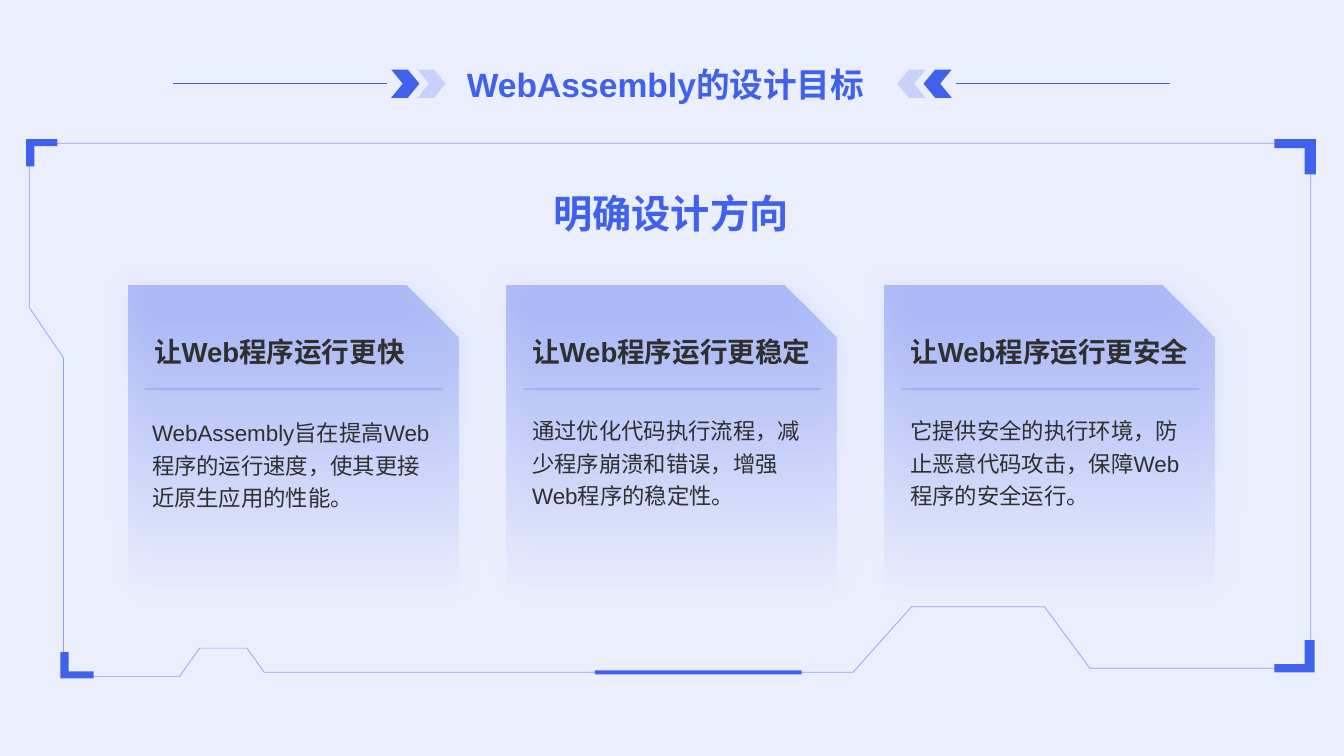
from lxml import etree
from pptx import Presentation
from pptx import util as u
from pptx.dml.color import RGBColor
from pptx.enum import lang, shapes, text
from pptx.oxml import parse_xml
from pptx.oxml.ns import nsdecls, qn

BLUE = RGBColor(0x40, 0x61, 0xEC)
PALE_BLUE = RGBColor(0x8C, 0xA0, 0xF4)
INK = RGBColor(0x2F, 0x2F, 0x2F)

TITLE = "WebAssembly的设计目标"
SUBTITLE = "明确设计方向"
CARDS = [
    ("让Web程序运行更快", "WebAssembly旨在提高Web程序的运行速度，使其更接近原生应用的性能。", 1.41, 4.06),
    ("让Web程序运行更稳定", "通过优化代码执行流程，减少程序崩溃和错误，增强Web程序的稳定性。", 5.18, 4.04),
    ("让Web程序运行更安全", "它提供安全的执行环境，防止恶意代码攻击，保障Web程序的安全运行。", 8.93, 4.04),
]
CARD_LEFT, CARD_TOP, CARD_WIDTH, CARD_HEIGHT, CARD_STEP = 1.27, 2.83, 3.28, 3.09, 3.75

CHEVRONS = [(4.14, 20, False), (3.88, 100, False), (8.9, 20, True), (9.16, 100, True)]
HEADER_LINES = [(3.84, 1.72), (9.48, 11.6)]
FRAME = [
    (0.63, 6.71), (0.63, 3.55), (0.29, 3.05), (0.29, 1.42), (13, 1.42),
    (13, 6.63), (10.81, 6.63), (10.36, 6.02), (9.04, 6.02), (8.46, 6.67),
    (2.62, 6.67), (2.45, 6.43), (1.98, 6.43), (1.78, 6.71),
]
# corner x, corner y, signed width, signed height, upright thickness, bar thickness
BRACKETS = [
    (0.26, 1.38, 0.31, 0.27, 0.08, 0.07),
    (13.05, 1.38, -0.41, 0.35, 0.11, 0.09),
    (0.6, 6.73, 0.33, -0.26, 0.08, 0.07),
    (13.04, 6.67, -0.4, -0.32, 0.1, 0.08),
]


def set_alpha(color_format_parent, percent):
    for color in color_format_parent.iter(qn("a:srgbClr")):
        etree.SubElement(color, qn("a:alpha")).set("val", str(percent * 1000))


def add_block(page, kind, left, top, width, height, alpha=100):
    block = page.shapes.add_shape(kind, *map(u.Inches, (left, top, width, height)))
    block.shadow.inherit = False
    block.line.fill.background()
    block.fill.solid()
    block.fill.fore_color.rgb = BLUE
    if alpha < 100:
        set_alpha(block.element.spPr, alpha)
    return block


def add_outline(page, points):
    spots = [(u.Inches(x), u.Inches(y)) for x, y in points]
    builder = page.shapes.build_freeform(*spots[0], scale=1.0)
    builder.add_line_segments(spots[1:], close=True)
    outline = builder.convert_to_shape()
    outline.shadow.inherit = False
    return outline


def add_rule(page, start, end, y, width, alpha=100):
    rule = page.shapes.add_connector(
        shapes.MSO_CONNECTOR.STRAIGHT, *map(u.Inches, (start, y, end, y)))
    rule.line.color.rgb = BLUE
    rule.line.width = u.Pt(width)
    if alpha < 100:
        set_alpha(rule.line._ln, alpha)
    etree.SubElement(rule.element.spPr, qn("a:effectLst"))


def add_text(page, wording, place, size, color, bold=True, centred=False, bottom=False, spacing=None):
    box = page.shapes.add_textbox(*map(u.Inches, place))
    frame = box.text_frame
    frame.word_wrap = True
    frame.vertical_anchor = text.MSO_ANCHOR.BOTTOM if bottom else text.MSO_ANCHOR.TOP
    para = frame.paragraphs[0]
    para.alignment = text.PP_ALIGN.CENTER if centred else text.PP_ALIGN.LEFT
    if spacing:
        para.line_spacing = spacing
    span = para.add_run()
    span.text = wording
    span.font.name = "Arial"
    span.font.size = u.Pt(size)
    span.font.bold = bold
    span.font.color.rgb = color
    span.font.language_id = lang.MSO_LANGUAGE_ID.SIMPLIFIED_CHINESE


def add_card(page, left, heading, body, body_left, body_top):
    panel = add_block(page, shapes.MSO_SHAPE.SNIP_1_RECTANGLE,
                      left, CARD_TOP, CARD_WIDTH, CARD_HEIGHT)
    properties = panel.element.spPr
    gradient = parse_xml(
        f'<a:gradFill {nsdecls("a")} rotWithShape="1"><a:gsLst>'
        f'<a:gs pos="0"><a:srgbClr val="{BLUE}"><a:alpha val="0"/></a:srgbClr></a:gs>'
        f'<a:gs pos="100000"><a:srgbClr val="{BLUE}"><a:alpha val="34000"/></a:srgbClr></a:gs>'
        '</a:gsLst><a:lin ang="16200000" scaled="0"/></a:gradFill>')
    properties.replace(properties.find(qn("a:solidFill")), gradient)
    shadow = parse_xml(
        f'<a:outerShdw {nsdecls("a")} blurRad="{u.Pt(21)}" dist="{u.Pt(4)}" dir="2400000" '
        f'algn="ctr" rotWithShape="0"><a:srgbClr val="{BLUE}"><a:alpha val="29000"/>'
        '</a:srgbClr></a:outerShdw>')
    properties.find(qn("a:effectLst")).append(shadow)
    add_text(page, heading, (left + 0.16, 3.07, 2.97, 0.63), 19.7, INK, bottom=True)
    add_text(page, body, (body_left, body_top, 2.97, 1.7), 16, INK, bold=False, spacing=1.2)
    add_rule(page, left + 0.17, left + 3.12, 3.86, 0.5, 50)


def main():
    deck = Presentation()
    deck.slide_width, deck.slide_height = u.Inches(13.33), u.Inches(7.5)
    page = deck.slides.add_slide(deck.slide_layouts[6])

    add_block(page, shapes.MSO_SHAPE.RECTANGLE, 0, 0, 13.33, 7.5, 10)
    for left, alpha, mirrored in CHEVRONS:
        chevron = add_block(page, shapes.MSO_SHAPE.CHEVRON, left, 0.69, 0.28, 0.28, alpha)
        chevron.adjustments[0] = 0.41
        if mirrored:
            chevron.element.spPr.xfrm.set("flipH", "1")
    for start, end in HEADER_LINES:
        add_rule(page, start, end, 0.83, 1)

    add_text(page, TITLE, (4.19, 0.1, 4.82, 0.98), 24, BLUE, centred=True, bottom=True)
    add_text(page, SUBTITLE, (0.72, 1.83, 11.87, 0.89), 28, BLUE, centred=True)

    border = add_outline(page, FRAME)
    border.fill.background()
    border.line.color.rgb = PALE_BLUE
    border.line.width = u.Pt(0.5)
    for x, y, width, height, upright, bar in BRACKETS:
        inner_x = x + (upright if width > 0 else -upright)
        inner_y = y + (bar if height > 0 else -bar)
        bracket = add_outline(page, [
            (x + width, y), (x, y), (x, y + height),
            (inner_x, y + height), (inner_x, inner_y), (x + width, inner_y)])
        bracket.fill.solid()
        bracket.fill.fore_color.rgb = BLUE
        bracket.line.fill.background()
    add_block(page, shapes.MSO_SHAPE.RECTANGLE, 5.9, 6.65, 2.05, 0.04)

    for index, card in enumerate(CARDS):
        add_card(page, CARD_LEFT + index * CARD_STEP, *card)
    deck.save("out.pptx")


if __name__ == "__main__":
    main()
